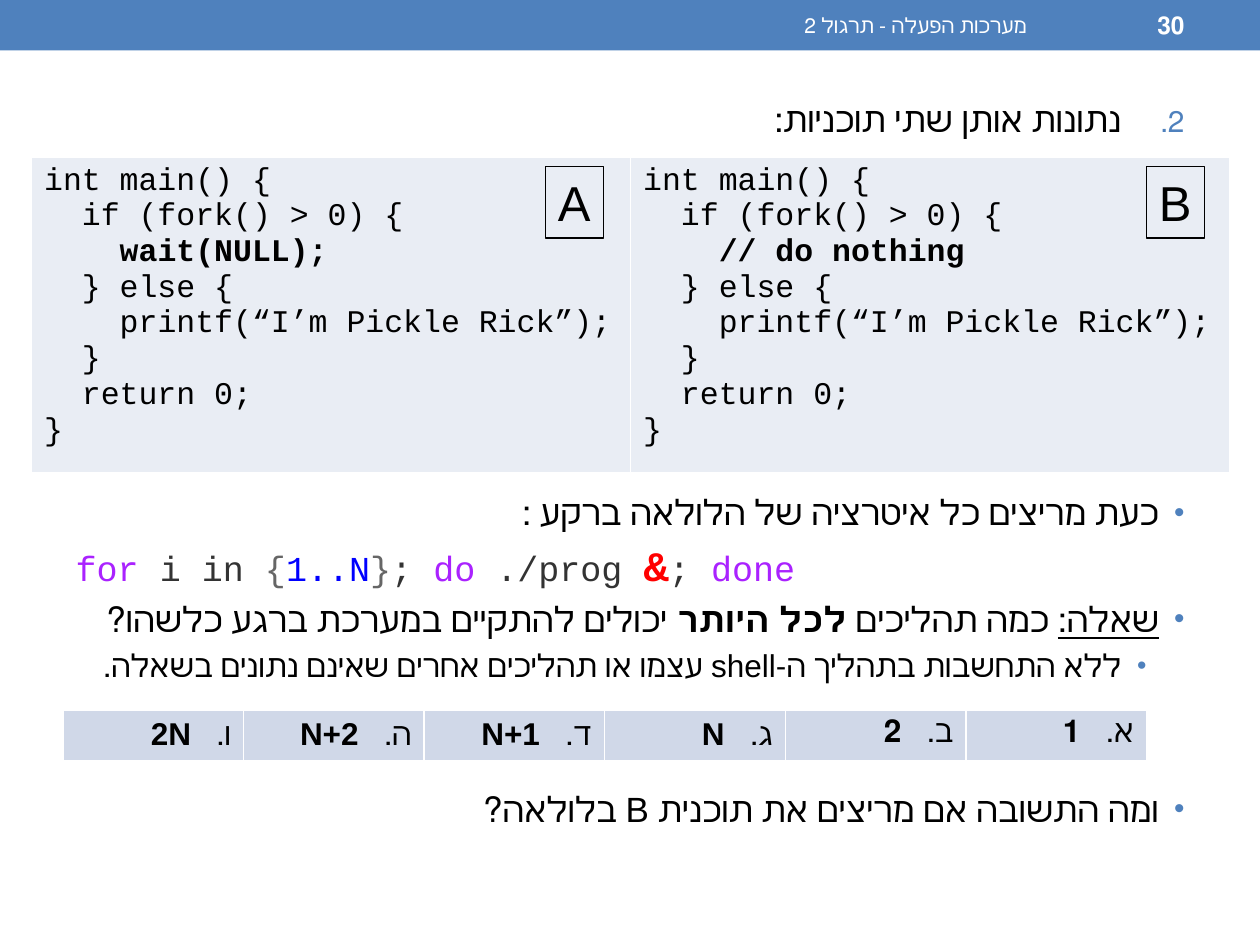
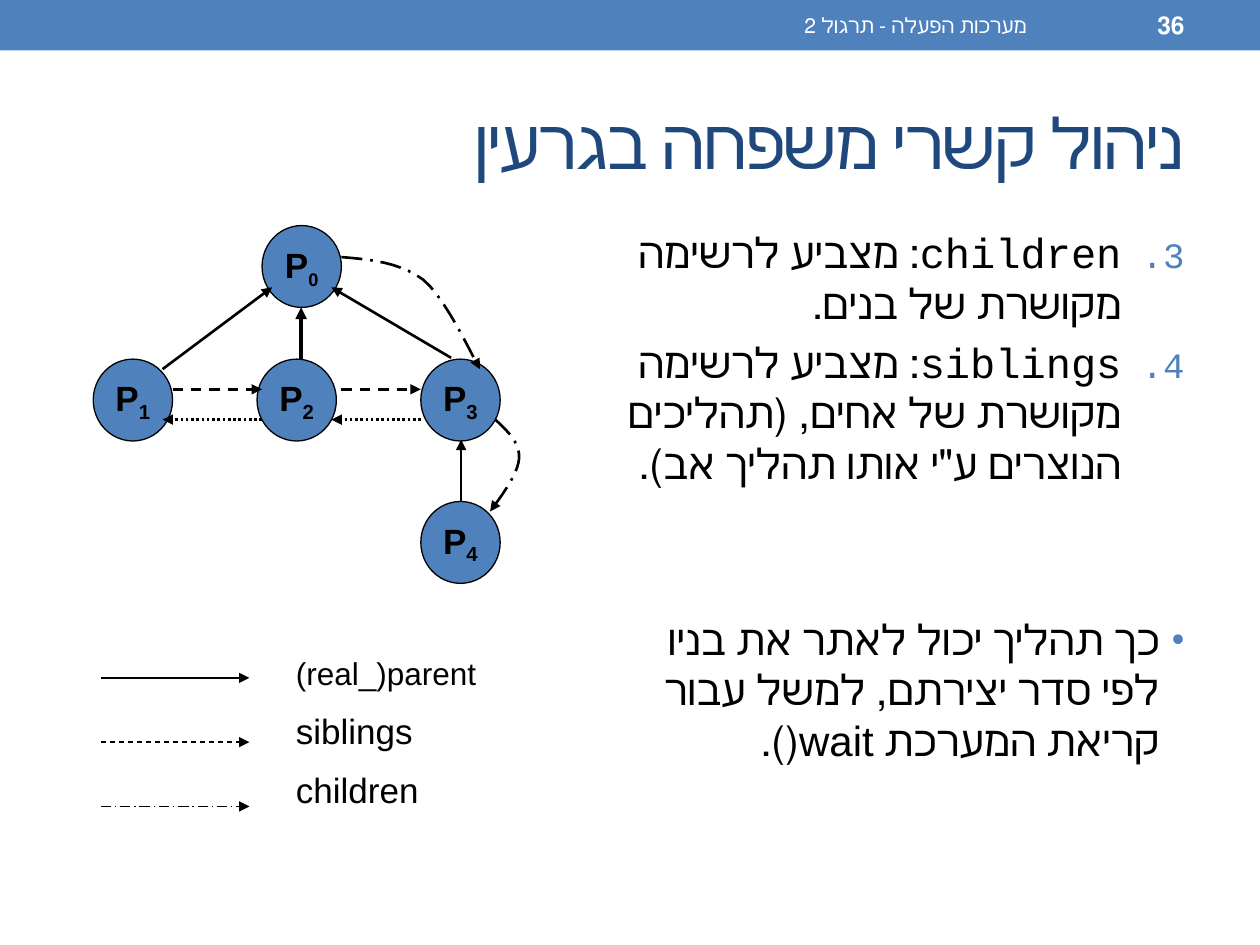
import pptx
import pptx.util
import pptx.dml.color
import pptx.enum.dml
import pptx.enum.lang
import pptx.enum.shapes
import pptx.enum.text
import pptx.oxml.ns
from lxml import etree

Inches = pptx.util.Inches
Pt = pptx.util.Pt
qn = pptx.oxml.ns.qn
Kind = pptx.enum.shapes.MSO_SHAPE
Dash = pptx.enum.dml.MSO_LINE
Align = pptx.enum.text.PP_ALIGN
Anchor = pptx.enum.text.MSO_ANCHOR

COLORS = {
    "blue": "4F81BD", "navy": "1F497D", "black": "000000", "white": "FFFFFF",
    "code": "E9EDF4", "choice": "D0D8E8", "word": "AA22FF", "dark": "333333",
    "gray": "666666", "num": "0000FF", "red": "FF0000",
}
SANS, MONO = "Arial", "Courier New"


def rgb(name):
    return pptx.dml.color.RGBColor.from_string(COLORS[name])


def sub(node, tag, **attrs):
    return etree.SubElement(node, qn(tag), **attrs)


def write(para, *runs, rtl=False, align=None, before=0, level=0, left=0,
          hang=0, mark=None, start=None, **base):
    """Fill a paragraph; a run is a string or a (string, format) pair."""
    para.alignment = align or (Align.RIGHT if rtl else Align.LEFT)
    para.space_before = Pt(before)
    para.level = level
    props = para._p.get_or_add_pPr()
    props.set("rtl", str(int(rtl)))
    props.set("marL", str(Inches(left)))
    props.set("marR", "0")
    props.set("indent", str(-Inches(hang)))
    if mark or start:
        sub(sub(props, "a:buClr"), "a:srgbClr", val=COLORS["blue"])
        sub(props, "a:buSzPct", val="85000")
        if start:
            sub(props, "a:buFontTx")
            sub(props, "a:buAutoNum", type="arabicPeriod", startAt=str(start))
        else:
            sub(props, "a:buChar", char=mark)
    else:
        sub(props, "a:buNone")
    for item in runs:
        text, extra = (item, {}) if isinstance(item, str) else item
        look = {"size": 20, "font": SANS, "color": "black", **base, **extra}
        for row, part in enumerate(text.split("\n")):
            if row:
                para.add_line_break()
            run = para.add_run()
            run.text = part
            font = run.font
            font.size, font.name = Pt(look["size"]), look["font"]
            font.bold = look.get("bold", False)
            font.underline = look.get("under", False)
            font.color.rgb = rgb(look["color"])
            if rtl:
                font.language_id = pptx.enum.lang.MSO_LANGUAGE_ID.HEBREW
            for key in ("spc", "baseline"):
                if key in look:
                    font._element.set(key, str(look[key]))


class Deck:
    def __init__(self):
        self.prs = pptx.Presentation()
        self.prs.slide_width, self.prs.slide_height = Inches(10), Inches(7.5)
        self.slide = None

    def new(self, number):
        """Start a slide with its band, footer and page number."""
        self.slide = self.prs.slides.add_slide(self.prs.slide_layouts[1])
        self.shape(Kind.RECTANGLE, 0, 0, 10, 0.4, fill="blue")
        for x, w, text, size, bold in (
                (3.75, 4.5, "מערכות הפעלה - תרגול 2", 12, False),
                (8.33, 1.17, number, 14, True)):
            frame = self.box(x, 0.02, w, 0.36)
            frame.vertical_anchor = Anchor.MIDDLE
            write(frame.paragraphs[0], text, rtl=True, size=size, bold=bold,
                  color="white")

    def place(self, holder, x, y, w, h, anchor):
        holder.left, holder.top = Inches(x), Inches(y)
        holder.width, holder.height = Inches(w), Inches(h)
        frame = holder.text_frame
        frame.auto_size = pptx.enum.text.MSO_AUTO_SIZE.NONE
        frame.vertical_anchor = anchor
        return frame

    def title(self, text=None):
        holder = self.slide.shapes.title
        if text is None:
            holder._element.getparent().remove(holder._element)
            return
        frame = self.place(holder, 0.5, 0.58, 9, 1.08, Anchor.MIDDLE)
        write(frame.paragraphs[0], text, rtl=True, size=40, color="navy",
              spc=-100)

    def body(self, y, h, items):
        holder = self.slide.placeholders[1]
        self.fill(self.place(holder, 0.5, y, 9, h, Anchor.TOP), items)

    def fill(self, frame, items):
        for i, (runs, look) in enumerate(items):
            para = frame.add_paragraph() if i else frame.paragraphs[0]
            write(para, *runs, **look)

    def box(self, x, y, w, h):
        frame = self.slide.shapes.add_textbox(
            Inches(x), Inches(y), Inches(w), Inches(h)).text_frame
        frame.word_wrap = True
        return frame

    def shape(self, kind, x, y, w, h, fill=None, line=None):
        item = self.slide.shapes.add_shape(
            kind, Inches(x), Inches(y), Inches(w), Inches(h))
        item.shadow.inherit = False
        if fill:
            item.fill.solid()
            item.fill.fore_color.rgb = rgb(fill)
        else:
            item.fill.background()
        if line:
            item.line.color.rgb = rgb(line)
            item.line.width = Pt(0.75)
        else:
            item.line.fill.background()
        item.text_frame.word_wrap = False
        return item

    def label(self, x, y, text):
        frame = self.shape(Kind.RECTANGLE, x, y, 0.46, 0.57,
                           line="black").text_frame
        frame.vertical_anchor = Anchor.TOP
        write(frame.paragraphs[0], text, size=28)

    def node(self, x, y, sign, size=20, drop=-22000):
        frame = self.shape(Kind.OVAL, x, y, 0.63, 0.65, "blue",
                           "black").text_frame
        frame.vertical_anchor = Anchor.MIDDLE
        write(frame.paragraphs[0], "P", (sign, {"size": size, "baseline": drop}),
              align=Align.CENTER, bold=True)

    def ink(self, line, width, dash):
        line.color.rgb = rgb("black")
        line.width = Pt(width)
        if dash:
            line.dash_style = dash
        sub(line._get_or_add_ln(), "a:tailEnd", type="triangle")

    def arrow(self, x1, y1, x2, y2, width=1.5, dash=None):
        item = self.slide.shapes.add_connector(
            pptx.enum.shapes.MSO_CONNECTOR.STRAIGHT,
            Inches(x1), Inches(y1), Inches(x2), Inches(y2))
        self.ink(item.line, width, dash)
        sub(item._element.spPr, "a:effectLst")

    def curve(self, first, *bends, steps=10):
        """Draw an arrow along cubic bends of two handles and an end."""
        dots, last = [], first
        for one, two, end in bends:
            for t in (k / steps for k in range(1, steps + 1)):
                u = 1 - t
                dots.append(tuple(
                    Inches(u**3 * a + 3 * u * u * t * b + 3 * u * t * t * c
                           + t**3 * d)
                    for a, b, c, d in zip(last, one, two, end)))
            last = end
        pen = self.slide.shapes.build_freeform(Inches(first[0]),
                                               Inches(first[1]))
        pen.add_line_segments(dots, close=False)
        item = pen.convert_to_shape()
        item.shadow.inherit = False
        item.fill.background()
        self.ink(item.line, 1.5, Dash.LONG_DASH_DOT)

    def table(self, x, y, w, h, fill, cells):
        """Draw a one-row table; each cell is a list of paragraphs."""
        grid = self.slide.shapes.add_table(
            1, len(cells), Inches(x), Inches(y), Inches(w), Inches(h)).table
        grid.first_row = grid.horz_banding = False
        for i, items in enumerate(cells):
            cell = grid.cell(0, i)
            self.fill(cell.text_frame, items)
            props = cell._tc.get_or_add_tcPr()
            for side in "LRTB":
                edge = sub(props, "a:ln" + side, w=str(Pt(1)))
                sub(sub(edge, "a:solidFill"), "a:srgbClr", val=COLORS["white"])
            cell.fill.solid()
            cell.fill.fore_color.rgb = rgb(fill)


def code(middle):
    lines = [(0, "int main() {"), (1, "if (fork() > 0) {"), (2, middle),
             (1, "} else {"), (2, "printf(“I’m Pickle Rick”);"), (1, "}"),
             (1, "return 0;"), (0, "}")]
    return [([text], {"left": 0.3 * depth, "size": 18, "font": MONO,
                      "bold": text == middle}) for depth, text in lines]


def choice(sign, value):
    return [([sign, (" ", {"spc": 1000}), (value, {"bold": True})],
             {"rtl": True, "size": 18})]


def quiz(deck):
    deck.new("30")
    deck.title()
    # Question text and shell loop
    dot = {"rtl": True, "left": 0.2, "hang": 0.2, "mark": "•", "before": 4}
    loop = [("for ", "word"), ("i in ", "dark"), ("{", "gray"),
            ("1..N", "num"), ("}", "gray"), ("; ", "dark"), ("do", "word"),
            (" ./prog ", "dark"), ("&", "red"), ("; ", "dark"),
            ("done", "word")]
    shell = [(text, {"color": color, **({"size": 24, "bold": True}
              if text == "&" else {})}) for text, color in loop]
    deck.body(0.72, 6.36, [
        (["נתונות אותן שתי תוכניות:"],
         {"rtl": True, "left": 0.5, "hang": 0.5, "start": 2}),
        (["כעת מריצים כל איטרציה של הלולאה ברקע :"], {**dot, "before": 201}),
        (shell, {"font": MONO, "before": 4}),
        ([("שאלה:", {"under": True}), " כמה תהליכים ",
          ("לכל היותר ", {"bold": True}),
          "יכולים להתקיים במערכת ברגע כלשהו?"], dot),
        (["ללא התחשבות בתהליך ה-shell עצמו או תהליכים אחרים שאינם נתונים בשאלה."],
         {**dot, "level": 1, "left": 0.5, "size": 18}),
        (["ומה התשובה אם מריצים את תוכנית B בלולאה?"], {**dot, "before": 59}),
    ])
    # Answers and the two programs
    answers = zip(("ו.", "ה.", "ד.", "ג.", "ב.", "א."),
                  ("2N", "N+2", "N+1", "N", "2", "1"))
    deck.table(0.5, 5.64, 8.6, 0.39, "choice", [choice(*a) for a in answers])
    deck.table(0.25, 1.25, 9.51, 0.41, "code",
               [code("wait(NULL);"), code("// do nothing")])
    deck.label(4.33, 1.32, "A")
    deck.label(9.1, 1.32, "B")


def family(deck):
    deck.new("36")
    deck.title("ניהול קשרי משפחה בגרעין")
    # Pointer list
    item = {"rtl": True, "left": 0.5, "hang": 0.5, "size": 24}
    mono = {"font": MONO}
    deck.body(1.75, 5.33, [
        ([("children", mono), ": מצביע לרשימה\nמקושרת של בנים."],
         {**item, "start": 3}),
        ([("siblings", mono), ": מצביע לרשימה\nמקושרת של אחים, (תהליכים\n"
          "הנוצרים ע\"י אותו תהליך אב)."], {**item, "start": 3, "before": 5}),
        (["כך תהליך יכול לאתר את בניו\nלפי סדר יצירתם, למשל עבור\n"
          "קריאת המערכת wait()."],
         {**item, "left": 0.2, "hang": 0.2, "mark": "•", "before": 72}),
    ])
    # Process tree
    deck.node(2.08, 1.79, "0", size=18, drop=-25000)
    for i in range(3):
        deck.node(0.74 + 1.3 * i, 2.85, str(i + 1))
    deck.node(3.34, 3.98, "4")
    deck.arrow(3.58, 2.84, 2.63, 2.28)
    deck.arrow(2.39, 2.85, 2.39, 2.44, width=2.25)
    deck.arrow(1.29, 2.93, 2.16, 2.28)
    deck.arrow(3.66, 3.98, 3.66, 3.49)
    for x1, x2 in ((3.34, 2.63), (2.08, 1.29)):
        deck.arrow(x1, 3.33, x2, 3.33, dash=Dash.ROUND_DOT)
    for x1, x2 in ((1.37, 2.08), (2.71, 3.34)):
        deck.arrow(x1, 3.09, x2, 3.09, dash=Dash.DASH)
    deck.curve((2.71, 2.04), ((2.94, 2.06), (3.17, 2.08), (3.36, 2.22)),
               ((3.54, 2.37), (3.74, 2.81), (3.81, 2.93)))
    deck.curve((3.93, 3.33), ((4.03, 3.42), (4.13, 3.52), (4.12, 3.64)),
               ((4.11, 3.76), (4, 3.91), (3.89, 4.06)))
    # Legend
    deck.fill(deck.box(2.25, 5.14, 1.88, 1.45), [
        (["(real_)parent"], {"size": 18}),
        (["siblings"], {"before": 10}),
        (["children"], {"before": 10}),
    ])
    for i, dash in enumerate((None, Dash.DASH, Dash.LONG_DASH_DOT)):
        y = 5.38 + 0.51 * i
        deck.arrow(0.8, y, 1.98, y, width=0.75, dash=dash)


def main():
    deck = Deck()
    quiz(deck)
    family(deck)
    deck.prs.save("out.pptx")


if __name__ == "__main__":
    main()
